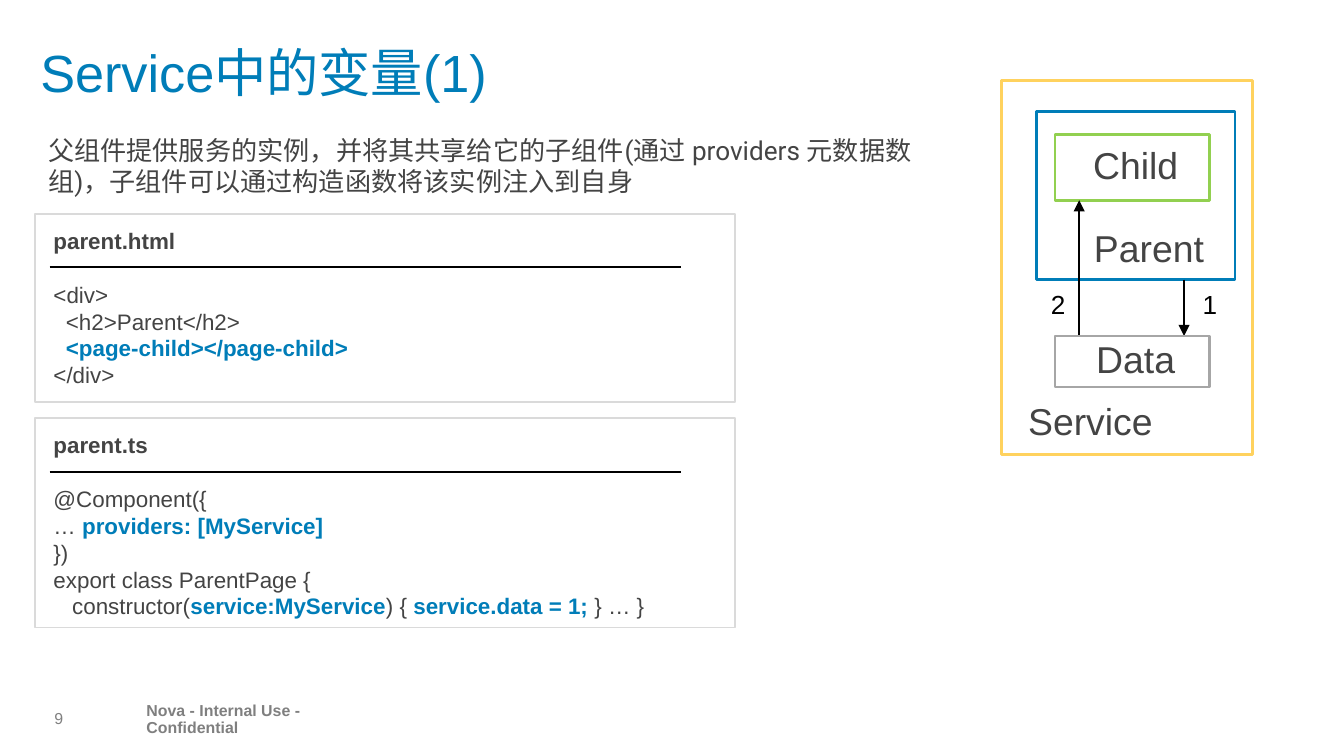
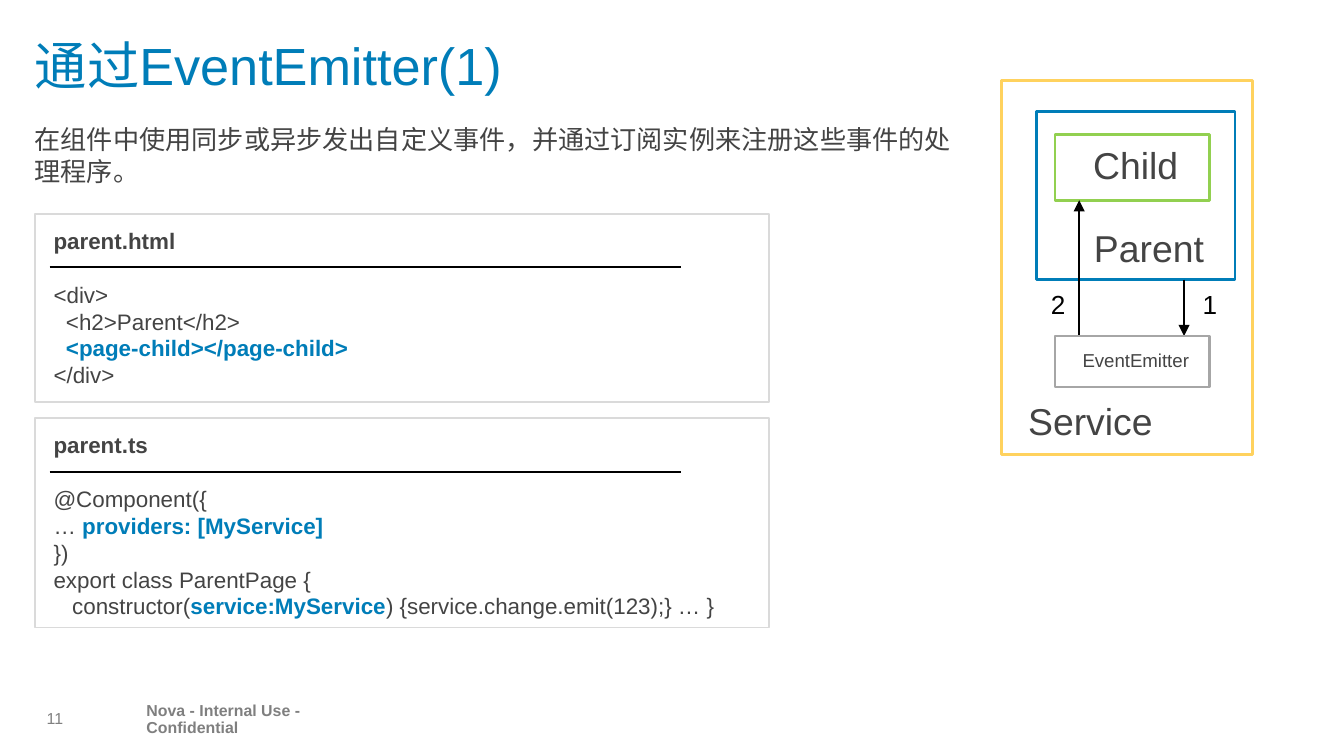
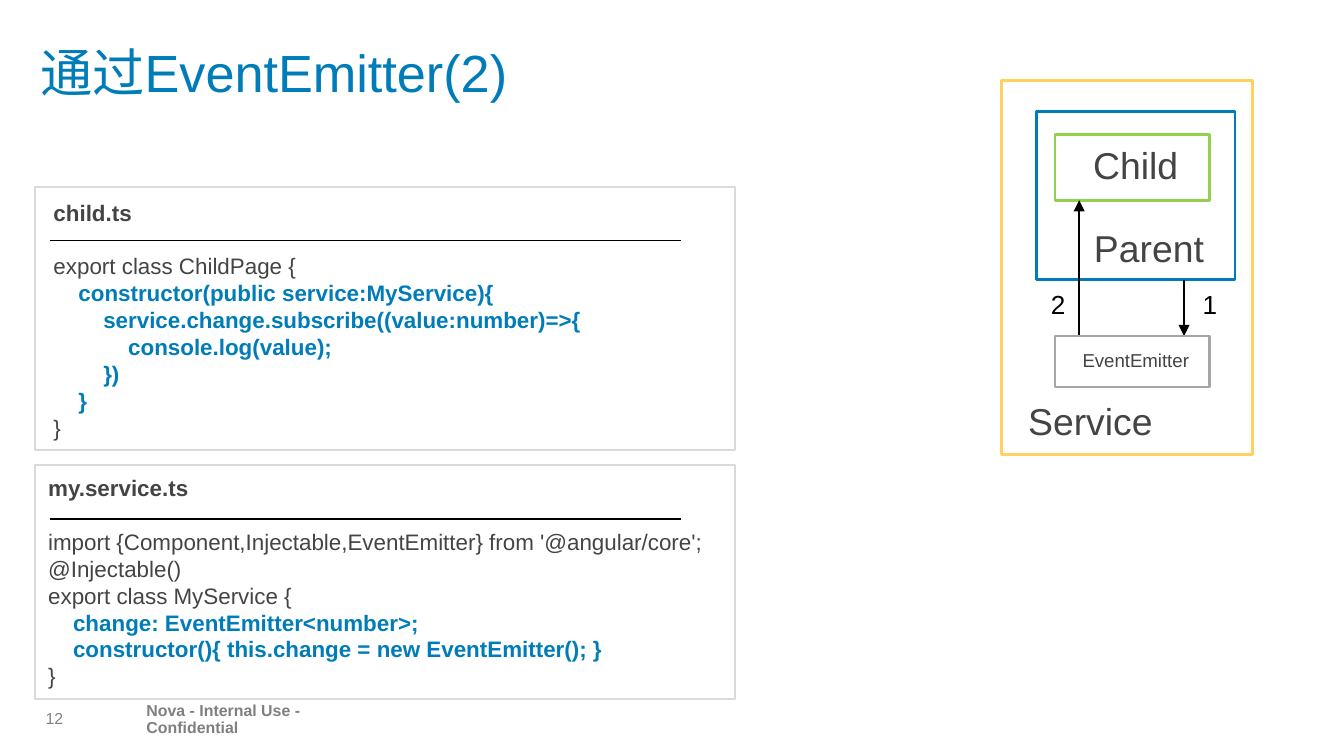
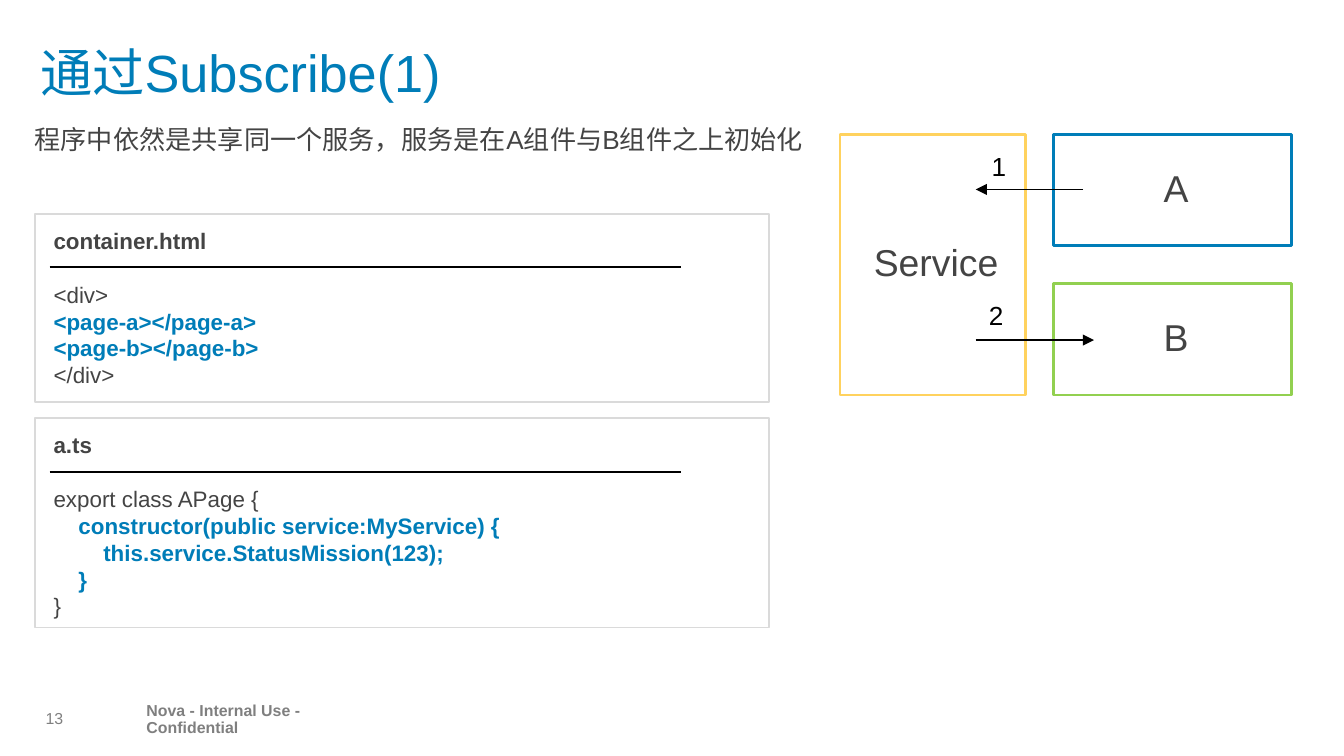
import pptx
import pptx.dml.color
import pptx.enum.shapes
import pptx.enum.text
import pptx.oxml
import pptx.oxml.ns
import pptx.util
from dataclasses import dataclass

Inches = pptx.util.Inches
Pt = pptx.util.Pt
Align = pptx.enum.text.PP_ALIGN
Anchor = pptx.enum.text.MSO_ANCHOR
Fit = pptx.enum.text.MSO_AUTO_SIZE


@dataclass(frozen=True)
class Theme:
    # Colours
    blue: str = "007DB8"
    green: str = "92D050"
    gold: str = "FFD25E"
    gray: str = "A6A6A6"
    pale: str = "DADADA"
    ink: str = "444444"
    black: str = "000000"
    foot: str = "7F7F7F"
    page: str = "808080"
    # Fonts and sizes in points
    face: str = "Arial"
    alt: str = "Roboto"
    title: float = 28
    node: float = 20
    body: float = 14
    code: float = 12
    pitch: float = 14.4
    small: float = 10
    note: float = 8.5


T = Theme()
SPACE = 0.278 * T.code  # width of one space in code, in points
PAD = (0.1, 0.05, 0.1, 0.05)
BOX_PAD = (0.2, 0.15, 0.15, 0.15)


def rgb(hue):
    return pptx.dml.color.RGBColor.from_string(hue)


# Text helpers

def style(item, size, hue, bold=False, face=T.face):
    font = item.font
    font.name, font.size, font.bold = face, Pt(size), bold
    font.color.rgb = rgb(hue)


def inset(frame, pad):
    (frame.margin_left, frame.margin_top,
     frame.margin_right, frame.margin_bottom) = map(Inches, pad)


def label(slide, at, text, size, hue, bold=False, face=T.face, pad=PAD,
          wrap=True, anchor=Anchor.TOP, align=Align.LEFT, lead=None):
    frame = slide.shapes.add_textbox(*map(Inches, at)).text_frame
    frame.word_wrap = wrap
    if not wrap:
        frame.auto_size = Fit.SHAPE_TO_FIT_TEXT
    frame.vertical_anchor = anchor
    inset(frame, pad)
    para = frame.paragraphs[0]
    para.text, para.alignment, para.line_spacing = text, align, lead
    style(para, size, hue, bold, face)


# Shape helpers

def frame_box(slide, at, hue, width):
    kind = pptx.enum.shapes.MSO_SHAPE.RECTANGLE
    shape = slide.shapes.add_shape(kind, *map(Inches, at))
    shape.shadow.inherit = False
    shape.fill.background()
    shape.line.color.rgb = rgb(hue)
    shape.line.width = Pt(width)
    return shape


def node(slide, at, hue, text, size=T.node, align=Align.CENTER,
         anchor=Anchor.MIDDLE, pad=BOX_PAD):
    frame = frame_box(slide, at, hue, 1.5).text_frame
    frame.word_wrap = True
    frame.vertical_anchor = anchor
    inset(frame, pad)
    para = frame.paragraphs[0]
    para.text, para.alignment = text, align
    para.line_spacing, para.space_before = 0.9, Pt(6)
    style(para, size, T.ink)


def line(slide, start, end, arrow=False):
    kind = pptx.enum.shapes.MSO_CONNECTOR.STRAIGHT
    link = slide.shapes.add_connector(kind, *map(Inches, start + end))
    link.line.color.rgb = rgb(T.black)
    link.line.width = Pt(1)
    if arrow:
        tail = pptx.oxml.parse_xml(
            '<a:tailEnd %s type="triangle"/>' % pptx.oxml.ns.nsdecls("a"))
        link.line._get_or_add_ln().append(tail)
    props = link._element.spPr
    props.append(pptx.oxml.parse_xml(
        "<a:effectLst %s/>" % pptx.oxml.ns.nsdecls("a")))


def digit(slide, left, top, text):
    label(slide, (left, top, 0.31, 0.34), text, T.body, T.black, wrap=False)


# Code card: leading spaces become an indent, backticks mark accents

def card(slide, top, width, height, name, code, left=0.3, drop=0.05):
    frame_box(slide, (0.26, top, width, height), T.pale, 1)
    at = (left, top + drop, width + 0.26 - left, height - drop)
    frame = slide.shapes.add_textbox(*map(Inches, at)).text_frame
    frame.word_wrap = True
    head = frame.paragraphs[0]
    head.text = name
    head.line_spacing = head.space_after = Pt(T.pitch)
    style(head, T.code, T.ink, True)
    for row in code.strip("\n").split("\n"):
        text = row.lstrip()
        para = frame.add_paragraph()
        para.line_spacing = Pt(T.pitch)
        style(para, T.code, T.ink)
        props = para._p.get_or_add_pPr()
        props.set("marL", str(Pt(SPACE * (len(row) - len(text)))))
        props.set("indent", "0")
        for i, part in enumerate(text.split("`")):
            if part:
                run = para.add_run()
                run.text = part
                if i % 2:
                    style(run, T.code, T.blue, True)
    line(slide, (0.37, top + 0.4), (5.07, top + 0.4))


# Diagrams

def nest(slide, text, size):
    """Parent and child that share data through a service."""
    node(slide, (7.45, 0.6, 1.87, 2.78), T.gold, "Service",
         align=Align.LEFT, anchor=Anchor.BOTTOM, pad=(0.2, 0.15, 0.15, 0.08))
    node(slide, (7.71, 0.83, 1.48, 1.25), T.blue, "Parent",
         align=Align.RIGHT, anchor=Anchor.BOTTOM, pad=(0.2, 0.15, 0.23, 0.07))
    node(slide, (7.85, 1, 1.15, 0.49), T.green, "Child")
    line(slide, (8.81, 2.08), (8.81, 2.5), True)
    line(slide, (8.03, 2.5), (8.03, 1.49), True)
    node(slide, (7.85, 2.5, 1.15, 0.38), T.gray, text, size)
    digit(slide, 8.85, 2.1, "1")
    digit(slide, 7.72, 2.1, "2")


def peers(slide):
    """Two components beside one service."""
    for top, hue, text in ((1, T.blue, "A"), (2.11, T.green, "B")):
        node(slide, (7.84, top, 1.77, 0.83), hue, text)
    node(slide, (6.25, 1, 1.38, 1.94), T.gold, "Service")
    line(slide, (8.06, 1.41), (7.26, 1.41), True)
    line(slide, (7.26, 2.53), (8.14, 2.53), True)
    digit(slide, 7.28, 1.07, "1")
    digit(slide, 7.26, 2.18, "2")


# Slide with title and footer

def page(deck, number, title, left=0.3, top=0.3):
    slide = deck.slides.add_slide(deck.slide_layouts[6])
    label(slide, (left, top, 8.7, 0.7), title, T.title, T.blue,
          pad=(0, 0.05, 0, 0.05), lead=0.9)
    foot = dict(pad=(0, 0, 0, 0), wrap=False, anchor=Anchor.MIDDLE, lead=0.9)
    label(slide, (1.09, 5.29, 1.8, 0.13), "Nova - Internal Use - Confidential",
          T.note, T.foot, True, **foot)
    label(slide, (0.32, 5.29, 0.15, 0.13), str(number), T.note, T.page,
          align=Align.RIGHT, **foot)
    return slide


def intro(slide, at, text, face=T.face):
    label(slide, at, text, T.body, T.ink, face=face)


def pair(slide, width, first, second):
    card(slide, 1.59, width, 1.4, *first)
    card(slide, 3.11, width, 1.56, *second)


# Code shown on the slides

PARENT_HTML = """
<div>
  <h2>Parent</h2>
  `<page-child></page-child>`
</div>
"""

PARENT_TS = """
@Component({
… `providers: [MyService]`
})
export class ParentPage {
   constructor(`service:MyService`) {%s} … }
"""

CHILD_TS = """
export class ChildPage {
    `constructor(public service:MyService){`
        `service.change.subscribe((value:number)=>{`
            `console.log(value);`
        `})`
    `}`
}
"""

SERVICE_TS = """
import {Component,Injectable,EventEmitter} from '@angular/core';
@Injectable()
export class MyService {
    `change: EventEmitter<number>;`
    `constructor(){ this.change = new EventEmitter(); }`
}
"""

BOX_HTML = """
<div>
`<page-a></page-a>`
`<page-b></page-b>`
</div>
"""

A_TS = """
export class APage {
    `constructor(public service:MyService) {`
        `this.service.StatusMission(123);`
    `}`
}
"""


def main():
    deck = pptx.Presentation()
    deck.slide_width = Inches(10)
    deck.slide_height = deck.slide_width * 9 // 16

    # Shared variable
    slide = page(deck, 9, "Service中的变量(1)")
    nest(slide, "Data", T.node)
    pair(slide, 5.21, ("parent.html", PARENT_HTML),
         ("parent.ts", PARENT_TS % " `service.data = 1;` "))
    intro(slide, (0.26, 0.95, 7, 0.57),
          "父组件提供服务的实例，并将其共享给它的子组件(通过 providers 元数据数组)，"
          "子组件可以通过构造函数将该实例注入到自身", T.alt)

    # Emitter, sending side
    slide = page(deck, 11, "通过EventEmitter(1)", 0.26, 0.25)
    nest(slide, "EventEmitter", T.small)
    pair(slide, 5.46, ("parent.html", PARENT_HTML),
         ("parent.ts", PARENT_TS % "service.change.emit(123);"))
    intro(slide, (0.16, 0.87, 7.1, 0.57),
          "在组件中使用同步或异步发出自定义事件，并通过订阅实例来注册这些事件的处理程序。")

    # Emitter, receiving side
    slide = page(deck, 12, "通过EventEmitter(2)")
    nest(slide, "EventEmitter", T.small)
    card(slide, 1.39, 5.21, 1.96, "child.ts", CHILD_TS, drop=0.04)
    card(slide, 3.46, 5.21, 1.74, "my.service.ts", SERVICE_TS, 0.26, 0.02)

    # Subscribe
    slide = page(deck, 13, "通过Subscribe(1)")
    peers(slide)
    pair(slide, 5.46, ("container.html", BOX_HTML), ("a.ts", A_TS))
    intro(slide, (0.16, 0.87, 7.1, 0.34),
          "程序中依然是共享同一个服务，服务是在A组件与B组件之上初始化")

    deck.save("out.pptx")


main()
